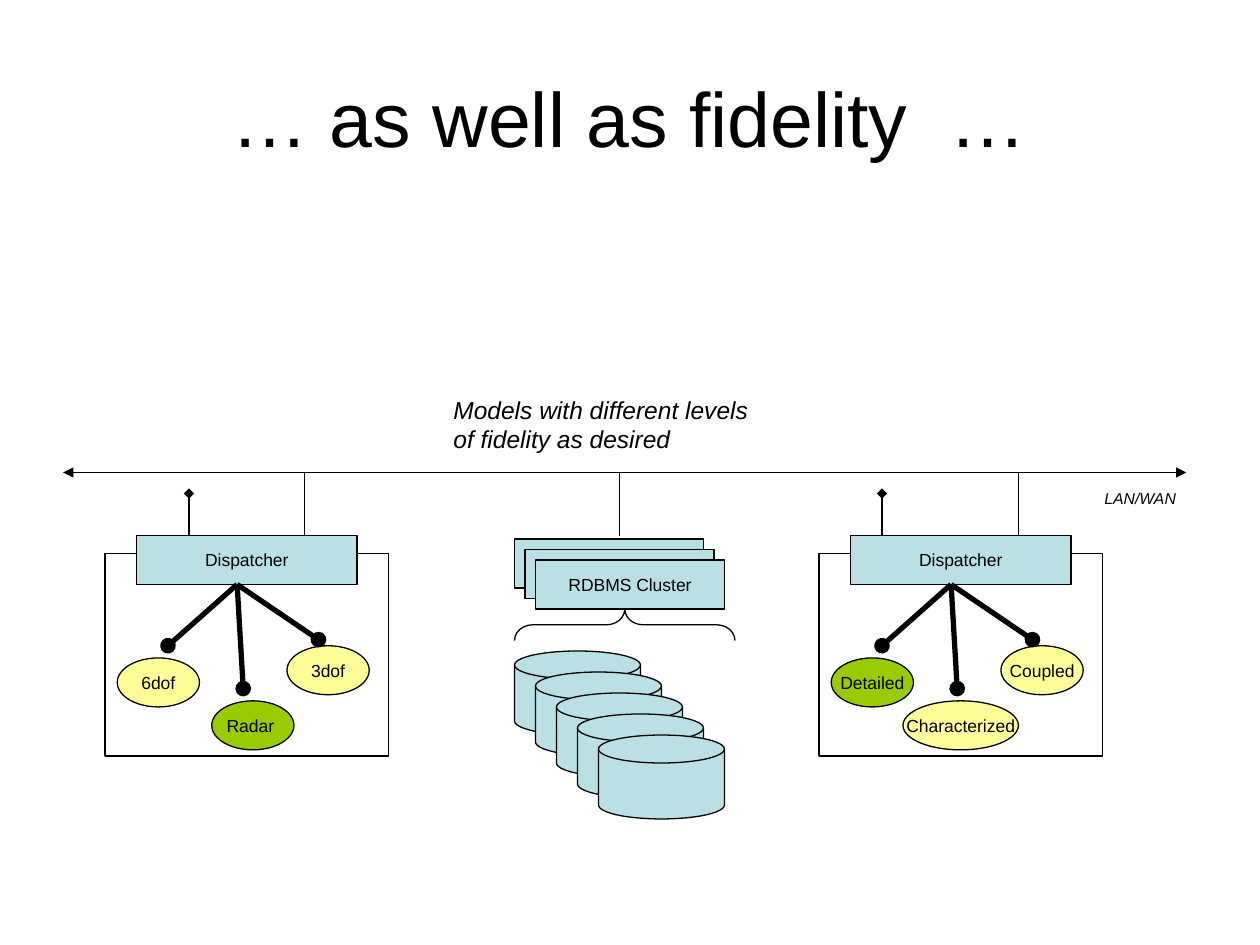
"""Build the slide on model fidelity: two dispatchers and a database cluster on one network."""
from lxml.etree import SubElement
from pptx import Presentation
from pptx.dml.color import RGBColor
from pptx.enum.shapes import MSO_CONNECTOR, MSO_SHAPE as SHAPE
from pptx.enum.text import MSO_ANCHOR as ANCHOR, PP_ALIGN as ALIGN
from pptx.oxml.ns import qn
from pptx.util import Pt

COLORS = {"ink": "000000", "paper": "FFFFFF", "teal": "BBE0E3",
          "yellow": "FFFF99", "green": "99CC00"}
RGB = {name: RGBColor.from_string(value) for name, value in COLORS.items()}

prs = Presentation()
prs.slide_width, prs.slide_height = Pt(720), Pt(540)
slide = prs.slides.add_slide(prs.slide_layouts[5])


def add_box(kind, left, top, width, height, fill, label="", wrap=False):
    box = slide.shapes.add_shape(kind, Pt(left), Pt(top), Pt(width), Pt(height))
    box.shadow.inherit = False
    if fill:
        box.fill.solid()
        box.fill.fore_color.rgb = RGB[fill]
    else:
        box.fill.background()
    box.line.color.rgb = RGB["ink"]
    box.line.width = Pt(0.75)
    if label:
        frame = box.text_frame
        frame.word_wrap = wrap
        frame.vertical_anchor = ANCHOR.MIDDLE
        paragraph = frame.paragraphs[0]
        paragraph.text = label
        paragraph.alignment = ALIGN.CENTER
        paragraph.font.name, paragraph.font.size = "Arial", Pt(10)
        paragraph.font.color.rgb = RGB["ink"]
    return box


def add_line(x1, y1, x2, y2, weight=0.75, head=None, tail=None):
    line = slide.shapes.add_connector(MSO_CONNECTOR.STRAIGHT, Pt(x1), Pt(y1), Pt(x2), Pt(y2))
    line.line.color.rgb = RGB["ink"]
    line.line.width = Pt(weight)
    outline = line.line._get_or_add_ln()
    for tag, end in (("a:headEnd", head), ("a:tailEnd", tail)):
        if end:
            SubElement(outline, qn(tag), type=end)
    SubElement(line._element.spPr, qn("a:effectLst"))


title = slide.shapes.title
title.left, title.top, title.width, title.height = Pt(36), Pt(21.6), Pt(648), Pt(90)
title.text_frame.vertical_anchor = ANCHOR.MIDDLE
heading = title.text_frame.paragraphs[0]
heading.text = "… as well as fidelity  …"
heading.alignment = ALIGN.CENTER
heading.font.name, heading.font.size = "Arial", Pt(44)
heading.font.color.rgb = RGB["ink"]

captions = [
    ("Models with different levels of fidelity as desired", 252, 222, 192, 41, 14),
    ("LAN/WAN", 624, 276, 60, 18, 9),
]
for text, left, top, width, height, size in captions:
    caption = slide.shapes.add_textbox(Pt(left), Pt(top), Pt(width), Pt(height))
    caption.text_frame.word_wrap = True
    paragraph = caption.text_frame.paragraphs[0]
    paragraph.text = text
    paragraph.font.name, paragraph.font.size = "Arial", Pt(size)
    paragraph.font.italic = True
    paragraph.font.color.rgb = RGB["ink"]

NETWORK_Y = 270
add_line(36, NETWORK_Y, 678, NETWORK_Y, head="triangle", tail="triangle")

sites = [
    (60, 108, [("6dof", "yellow", 47), ("Radar ", "green", 47), ("3dof", "yellow", 47)]),
    (468, 504, [("Detailed", "green", 47), ("Characterized", "yellow", 66),
                ("Coupled", "yellow", 47)]),
]
model_spots = [(7, 376), (61, 400.5), (104, 369)]
spoke_ends = [(36, 369), (79, 393.5), (122, 365.5)]
for site_x, antenna_x, models in sites:
    add_box(SHAPE.RECTANGLE, site_x, 316.5, 162, 115.5, "paper")
    add_box(SHAPE.RECTANGLE, site_x + 18, 306, 126, 28, "teal", "Dispatcher")
    for (model, fill, width), (dx, top) in zip(models, model_spots):
        left = site_x + dx - (13 if width > 47 else 0)
        add_box(SHAPE.OVAL, left, top, width, 28, fill, model)
    for dx, end_y in spoke_ends:
        add_line(site_x + 75.5, 334, site_x + dx, end_y, weight=3, tail="oval")
    add_line(site_x + 114, 306, site_x + 114, NETWORK_Y)
    add_line(antenna_x, 306, antenna_x, 282, tail="diamond")

add_line(354, 306, 354, NETWORK_Y)
for step in range(3):
    add_box(SHAPE.RECTANGLE, 294 + 6 * step, 308 + 6 * step, 108, 28, "teal",
            "RDBMS Cluster", wrap=True)
for step in range(5):
    add_box(SHAPE.FLOWCHART_MAGNETIC_DISK, 294 + 12 * step, 372 + 12 * step, 72, 48, "teal")

brace = add_box(SHAPE.RIGHT_BRACE, 348, 294, 18, 126, None)
brace.rotation = 270
brace.adjustments[0] = 0.58

prs.save("out.pptx")
